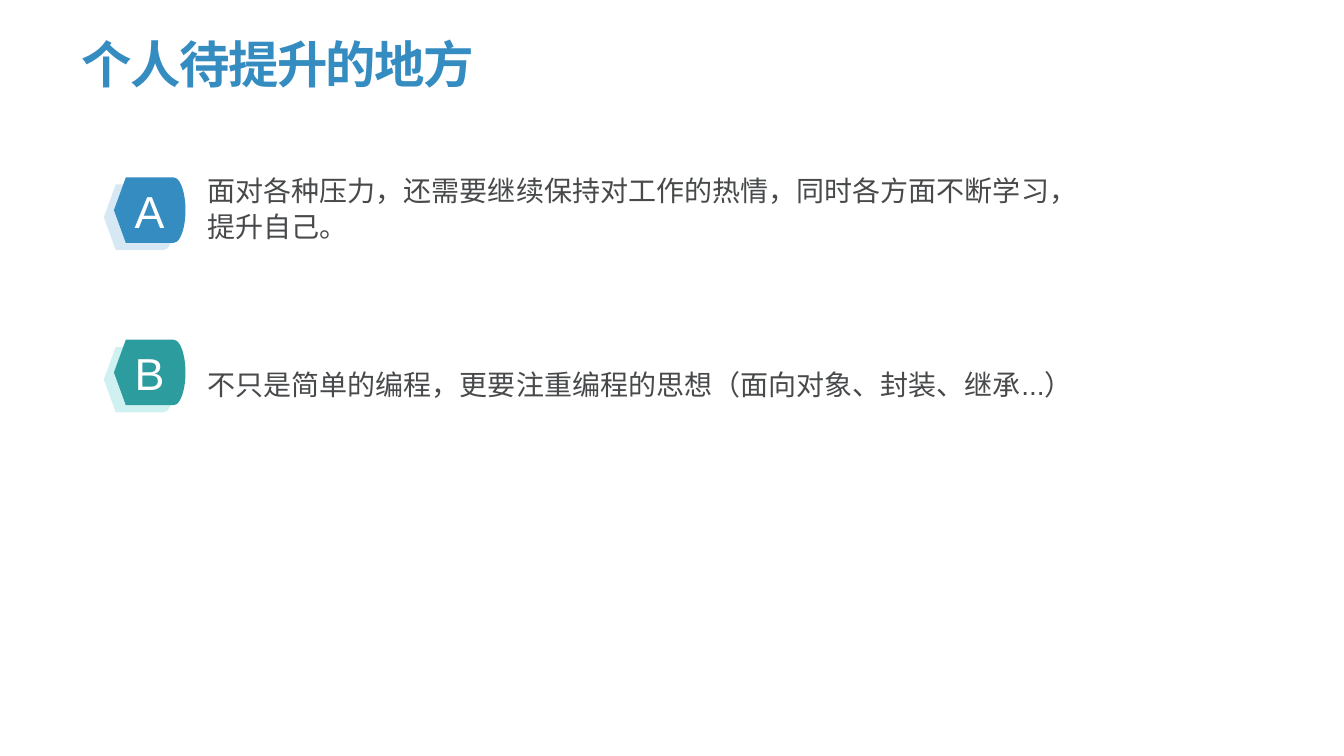
import pptx
import pptx.dml.color
import pptx.enum.shapes
import pptx.enum.text
import pptx.util

RGBColor = pptx.dml.color.RGBColor
Inches = pptx.util.Inches
Anchor = pptx.enum.text.MSO_ANCHOR
Align = pptx.enum.text.PP_ALIGN

BLUE = RGBColor(0x35, 0x8C, 0xC1)
PALE_BLUE = RGBColor(0xD6, 0xE8, 0xF4)
TEAL = RGBColor(0x2D, 0x9C, 0x9F)
PALE_TEAL = RGBColor(0xCF, 0xF1, 0xF2)
GREY = RGBColor(0x47, 0x49, 0x4B)
WHITE = RGBColor(0xFF, 0xFF, 0xFF)

SLIDE_W, SLIDE_H = 13.33, 7.5
BADGE_W, BADGE_H = 0.71, 0.65
SHADE_DX, SHADE_DY = -0.1, 0.07
LEFT, TOP, ROW_PITCH = 1.13, 1.76, 1.61
TEXT_DX, TEXT_W, TEXT_H = 0.83, 9.04, 0.86

# letter, badge colour, shade colour, text offset from the badge top, text
POINTS = [
    ("A", BLUE, PALE_BLUE, -0.14,
     "面对各种压力，还需要继续保持对工作的热情，同时各方面不断学习，提升自己。"),
    ("B", TEAL, PALE_TEAL, 0,
     "不只是简单的编程，更要注重编程的思想（面向对象、封装、继承...）"),
]


def write(frame, text, size, color, anchor, align=Align.LEFT, spacing=1.0, bold=False):
    """Fill a text frame with one paragraph and return its run."""
    frame.word_wrap = True
    frame.auto_size = pptx.enum.text.MSO_AUTO_SIZE.NONE
    frame.vertical_anchor = anchor
    paragraph = frame.paragraphs[0]
    paragraph.alignment = align
    paragraph.line_spacing = spacing
    font = paragraph.font
    font.name, font.size, font.bold = "Arial", pptx.util.Pt(size), bold
    font.color.rgb = color
    run = paragraph.add_run()
    run.text = text
    return run


def add_title(slide, left, top, width, height):
    title = slide.shapes.title
    title.left, title.top = Inches(left), Inches(top)
    title.width, title.height = Inches(width), Inches(height)
    run = write(title.text_frame, "个人待提升的地方", 36, BLUE, Anchor.BOTTOM,
                spacing=0.9, bold=True)
    run.font._element.set("spc", "-110")


def add_plate(slide, left, top, color):
    plate = slide.shapes.add_shape(
        pptx.enum.shapes.MSO_SHAPE.FLOWCHART_DISPLAY,
        Inches(left), Inches(top), Inches(BADGE_W), Inches(BADGE_H))
    plate.shadow.inherit = False
    plate.fill.solid()
    plate.fill.fore_color.rgb = color
    plate.line.fill.background()
    return plate


def add_point(slide, left, top, letter, color, shade, text_dy, text):
    add_plate(slide, left + SHADE_DX, top + SHADE_DY, shade)
    badge = add_plate(slide, left, top, color).text_frame
    badge.margin_left = badge.margin_right = badge.margin_top = badge.margin_bottom = 0
    write(badge, letter, 32, WHITE, Anchor.MIDDLE, Align.CENTER)
    body = slide.shapes.add_textbox(
        Inches(left + TEXT_DX), Inches(top + text_dy), Inches(TEXT_W), Inches(TEXT_H))
    write(body.text_frame, text, 20, GREY, Anchor.MIDDLE, spacing=1.1)


def main():
    deck = pptx.Presentation()
    deck.slide_width, deck.slide_height = Inches(SLIDE_W), Inches(SLIDE_H)
    slide = deck.slides.add_slide(deck.slide_layouts.get_by_name("Title Only"))
    add_title(slide, 0.71, 0.29, 11.28, 0.7)
    for row, point in enumerate(POINTS):
        add_point(slide, LEFT, TOP + row * ROW_PITCH, *point)
    deck.save("out.pptx")


if __name__ == "__main__":
    main()
